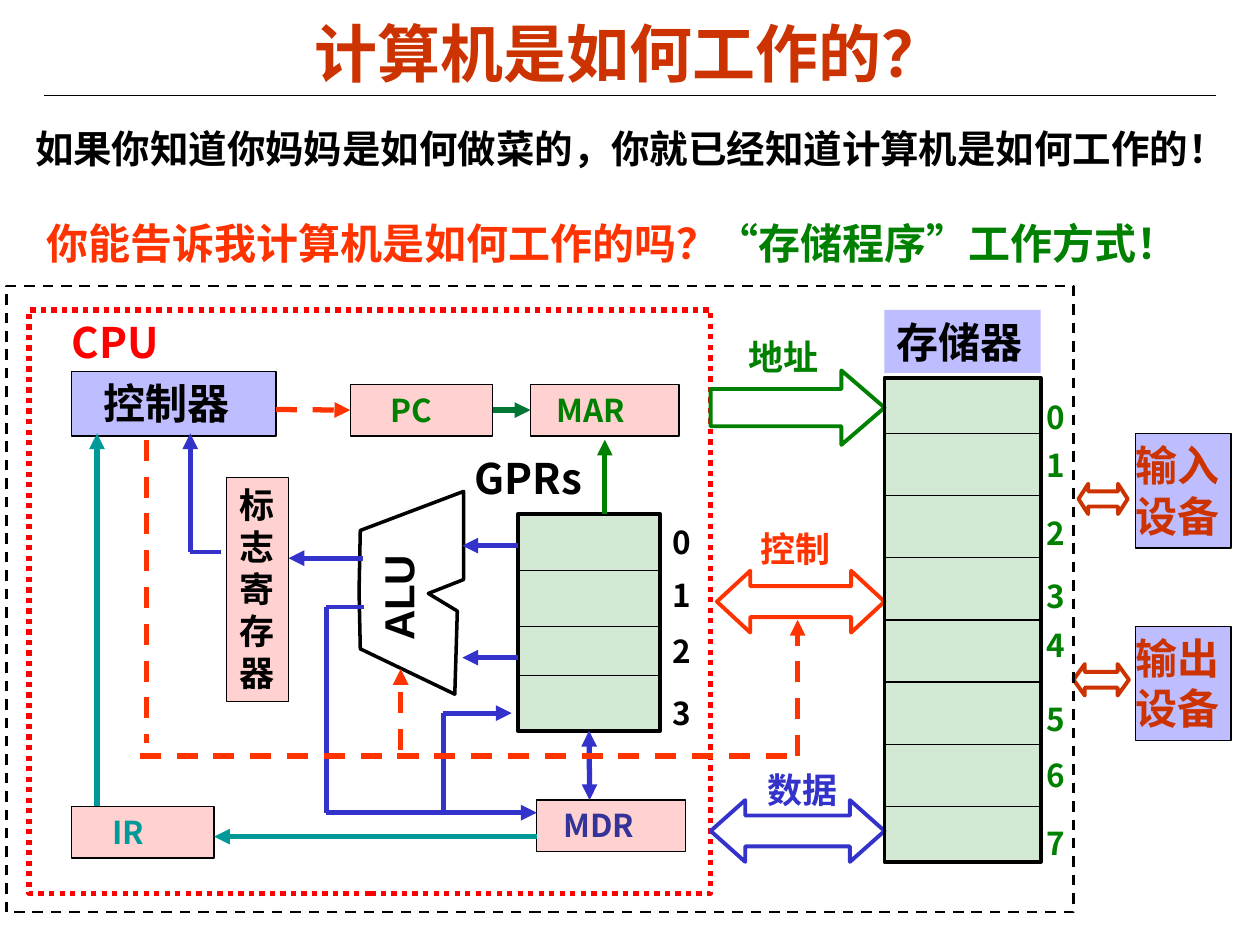
import pptx
import pptx.dml.color
import pptx.enum.dml
import pptx.enum.shapes
import pptx.enum.text
import pptx.oxml.ns
import pptx.util
from lxml import etree
from pptx.util import Inches

SHAPES = pptx.enum.shapes.MSO_SHAPE
DASHES = pptx.enum.dml.MSO_LINE
ALIGN = pptx.enum.text.PP_ALIGN
SANS = "Noto Sans CJK SC"
BLACK, RED, ORANGE, RUST = "000000", "FF0000", "FF3300", "CC3300"
GREEN, BLUE, TEAL, WHITE = "008000", "3333CC", "009999", "FFFFFF"
BLUE_TINT, RED_TINT, GREEN_TINT = ("0000FF", 26), (RED, 18), (GREEN, 17)


def rgb(hex_code):
    return pptx.dml.color.RGBColor.from_string(hex_code)


def add_xml(parent, tag, **attributes):
    return etree.SubElement(parent, pptx.oxml.ns.qn(tag), attributes)


def write(frame, text, size, color, font=SANS, align=ALIGN.LEFT, inset=0.1, right=0.1):
    """Fill a text frame, one paragraph for each line of text."""
    layout = {"word_wrap": True, "vertical_anchor": pptx.enum.text.MSO_ANCHOR.TOP,
              "margin_left": Inches(inset), "margin_right": Inches(right),
              "margin_top": Inches(0.05), "margin_bottom": Inches(0.05)}
    for name, value in layout.items():
        setattr(frame, name, value)
    lines = text.split("\n")
    for index, line in enumerate(lines):
        para = frame.add_paragraph() if index else frame.paragraphs[0]
        para.alignment = align
        if len(lines) > 1:
            para.line_spacing = pptx.util.Pt(1.2 * size)
        span = para.add_run()
        span.text = line
        style = {"name": font, "size": pptx.util.Pt(size), "bold": True}
        for name, value in style.items():
            setattr(span.font, name, value)
        span.font.color.rgb = rgb(color)
        add_xml(span.font._element, "a:ea", typeface=SANS)


def paint(shape, fill=None, line=None, width=0.75, dash=None):
    """Fill is None, a colour, or a colour with its opacity in percent."""
    shape.shadow.inherit = False
    if fill is None:
        shape.fill.background()
    else:
        color, opacity = (fill, 100) if isinstance(fill, str) else fill
        shape.fill.solid()
        shape.fill.fore_color.rgb = rgb(color)
        if opacity < 100:
            solid = shape._element.spPr.find(pptx.oxml.ns.qn("a:solidFill"))
            add_xml(solid[0], "a:alpha", val=str(opacity * 1000))
    if line is None:
        shape.line.fill.background()
        return
    shape.line.color.rgb = rgb(line)
    shape.line.width = pptx.util.Pt(width)
    if dash:
        shape.line.dash_style = dash


class Region:
    """Places parts, in inches, relative to its own top left corner."""

    def __init__(self, page, left, top):
        self.shapes, self.left, self.top = page.shapes, left, top

    def point(self, x, y):
        return Inches(self.left + x), Inches(self.top + y)

    def frame(self, x, y, width, height):
        return *self.point(x, y), Inches(width), Inches(height)

    def text(self, place, *args, **options):
        box = self.shapes.add_textbox(*self.frame(*place))
        write(box.text_frame, *args, **options)
        return box

    def block(self, place, fill=None, line=BLACK, width=0.75, dash=None,
              kind=SHAPES.RECTANGLE, head=None):
        shape = self.shapes.add_shape(kind, *self.frame(*place))
        if head:
            shape.adjustments[1] = head
        paint(shape, fill, line, width, dash)
        return shape

    def label_block(self, place, fill, text, size, color, line=BLACK, **options):
        shape = self.block(place, fill, line)
        write(shape.text_frame, text, size, color, **options)
        return shape

    def line(self, start, end, color=BLACK, width=3, dash=None, ends=()):
        """Ends names the arrowheads: headEnd at the start, tailEnd at the end."""
        link = self.shapes.add_connector(pptx.enum.shapes.MSO_CONNECTOR.STRAIGHT,
                                         *self.point(*start), *self.point(*end))
        link.line.color.rgb = rgb(color)
        link.line.width = pptx.util.Pt(width)
        if dash:
            link.line.dash_style = dash
        outline = link.line._get_or_add_ln()
        for end_name in ends:
            add_xml(outline, "a:" + end_name, type="triangle")
        add_xml(link._element.spPr, "a:effectLst")
        return link

    def arrow(self, start, end, color, **options):
        return self.line(start, end, color, ends=("tailEnd",), **options)


def draw_header(page, left, top):
    area = Region(page, left, top)
    area.line((0.35, 0.76), (9.65, 0.76), width=0.75)
    title = area.text((0.5, 0.11, 9, 0.61), "计算机是如何工作的？", 36, RUST,
                      font="Arial", align=ALIGN.CENTER)
    title.text_frame.vertical_anchor = pptx.enum.text.MSO_ANCHOR.MIDDLE
    area.text((0.18, 0.94, 9.73, 0.47),
              "如果你知道你妈妈是如何做菜的，你就已经知道计算机是如何工作的！", 22, BLACK)
    area.text((0.27, 1.68, 6.2, 0.5), "你能告诉我计算机是如何工作的吗？", 24, ORANGE)
    area.text((5.59, 1.68, 4.02, 0.5), "“存储程序”工作方式！", 24, GREEN)


def draw_alu(page, left, top):
    area = Region(page, left, top)
    corners = [(0.83, 0), (0.01, 0.31), (0, 0.79), (0.01, 1.25), (0.76, 1.61),
               (0.78, 0.95), (0.55, 0.81), (0.83, 0.7)]
    points = [area.point(*corner) for corner in corners]
    builder = area.shapes.build_freeform(*points[0])
    builder.add_line_segments(points[1:], close=True)
    paint(builder.convert_to_shape(), line=BLACK, width=2)
    area.text((-0.16, 0.61, 0.89, 0.46), "ALU", 24, BLACK, font="Arial").rotation = 270


def draw_cells(area, place, dividers, label_left, label_tops, color, label_width):
    """Draw a column of storage cells with numbers beside it."""
    x, y, width, height = place
    column = area.block(place, GREEN_TINT, width=2.25)
    for divider in dividers:
        area.line((x, divider), (x + width, divider), width=0.75)
    for number, label_top in enumerate(label_tops):
        area.text((label_left, label_top, label_width, 0.4), str(number), 18, color)
    return column


def draw_registers(page, left, top):
    area = Region(page, left, top)
    area.text((-0.44, -0.54, 1.28, 0.5), "GPRs", 24, BLACK)
    return draw_cells(area, (0, 0, 1.13, 1.72), (0.45, 0.89, 1.28), 1.13,
                      (0.02, 0.44, 0.89, 1.38), BLACK, 0.35)


def draw_cpu(page, left, top):
    area = Region(page, left, top)
    area.block((0, 0, 5.41, 4.63), line=RED, width=3, dash=DASHES.ROUND_DOT)
    area.text((0.24, 0, 0.93, 0.5), "CPU", 24, RED)
    area.label_block((0.34, 0.49, 1.62, 0.51), BLUE_TINT, "控制器", 24, BLACK, inset=0.25)
    counter, address, data, _ = [
        area.label_block((x, y, width, 0.41), RED_TINT, name, 18, color, inset=inset)
        for x, y, width, name, color, inset in (
            (2.55, 0.59, 1.13, "PC", GREEN, 0.32), (3.98, 0.59, 1.18, "MAR", GREEN, 0.21),
            (4.03, 3.89, 1.18, "MDR", "333399", 0.21), (0.34, 3.94, 1.13, "IR", TEAL, 0.32))]
    area.label_block((1.57, 1.33, 0.49, 1.78), RED_TINT, "标\n志\n寄\n存\n器", 20, BLACK)
    draw_alu(page, left + 2.62, top + 1.44)
    registers = draw_registers(page, left + 3.88, top + 1.62)

    area.arrow((1.96, 0.79), (2.55, 0.79), ORANGE, dash=DASHES.DASH).end_connect(counter, 1)
    step = area.arrow((3.68, 0.79), (3.98, 0.79), "007635")
    step.begin_connect(counter, 3)
    step.end_connect(address, 1)
    exchange = area.line((4.45, 3.34), (4.45, 3.89), BLUE, ends=("headEnd", "tailEnd"))
    exchange.begin_connect(registers, 2)

    for start, end, color in (
            ((3.88, 1.87), (3.44, 1.87), BLUE), ((3.88, 2.76), (3.44, 2.76), BLUE),
            ((2.65, 1.97), (2.06, 1.97), BLUE), ((1.28, 1.92), (1.28, 0.98), BLUE),
            ((2.36, 3.99), (4.03, 3.99), BLUE), ((3.29, 3.2), (3.83, 3.2), BLUE),
            ((4.57, 1.62), (4.57, 1.03), GREEN), ((4.03, 4.18), (1.47, 4.18), TEAL),
            ((0.54, 3.94), (0.54, 0.98), TEAL)):
        area.arrow(start, end, color)
    for start, end, width in (
            ((1.52, 1.92), (1.28, 1.92), 2.25), ((2.66, 2.36), (2.36, 2.36), 2.25),
            ((2.36, 2.36), (2.36, 3.99), 3), ((3.29, 3.99), (3.29, 3.2), 3)):
        area.line(start, end, BLUE, width)
    for start, end in (((0.88, 3.54), (6.05, 3.54)), ((0.93, 1.03), (0.93, 3.44))):
        area.line(start, end, ORANGE, dash=DASHES.DASH)
    for start, end in (((2.95, 3.49), (2.95, 2.85)), ((6.1, 3.54), (6.1, 2.46))):
        area.arrow(start, end, ORANGE, dash=DASHES.DASH)


def draw_buses(page, left, top):
    area = Region(page, left, top)
    both = SHAPES.LEFT_RIGHT_ARROW
    for name, color, label, kind, place, head in (
            ("地址", GREEN, (0.2, -0.33), SHAPES.RIGHT_ARROW, (0, 0, 1.38, 0.59), 0.58),
            ("控制", ORANGE, (0.3, 1.2), both, (0.05, 1.59, 1.33, 0.49), 0.54),
            ("数据", BLUE, (0.35, 3.11), both, (0, 3.41, 1.38, 0.49), 0.56)):
        area.block(place, WHITE, color, 2.25, kind=kind, head=head)
        area.text((*label, 0.94, 0.43), name, 20, color)


def draw_memory(page, left, top):
    area = Region(page, left, top)
    area.label_block((0, 0, 1.24, 0.5), BLUE_TINT, "存储器", 24, BLACK, line=None)
    dividers = [0.98 + 2.96 / 6 * row for row in range(7)]
    draw_cells(area, (0, 0.54, 1.24, 3.84), dividers, 1.19,
               (0.65, 1.03, 1.57, 2.07, 2.46, 3.05, 3.49, 4.03), GREEN, 0.33)


def draw_device(page, left, top, name, arrow_place, head):
    area = Region(page, left, top)
    area.label_block((0, 0, 0.76, 0.91), BLUE_TINT, name, 24, RUST, inset=0, right=0)
    area.block(arrow_place, WHITE, RUST, 2.25, kind=SHAPES.LEFT_RIGHT_ARROW, head=head)


def main():
    deck = pptx.Presentation()
    deck.slide_width, deck.slide_height = Inches(10), Inches(7.5)
    page = deck.slides.add_slide(deck.slide_layouts[6])
    draw_header(page, 0, 0)
    draw_cpu(page, 0.23, 2.46)
    draw_buses(page, 5.64, 2.94)
    draw_memory(page, 7.02, 2.46)
    draw_device(page, 9.01, 3.44, "输入\n设备", (-0.45, 0.4, 0.39, 0.24), 0.32)
    draw_device(page, 9.01, 4.97, "输出\n设备", (-0.49, 0.3, 0.44, 0.25), 0.36)
    Region(page, 0.05, 2.27).block((0, 0, 8.47, 4.97), width=1.5, dash=DASHES.DASH)
    deck.save("out.pptx")


if __name__ == "__main__":
    main()
